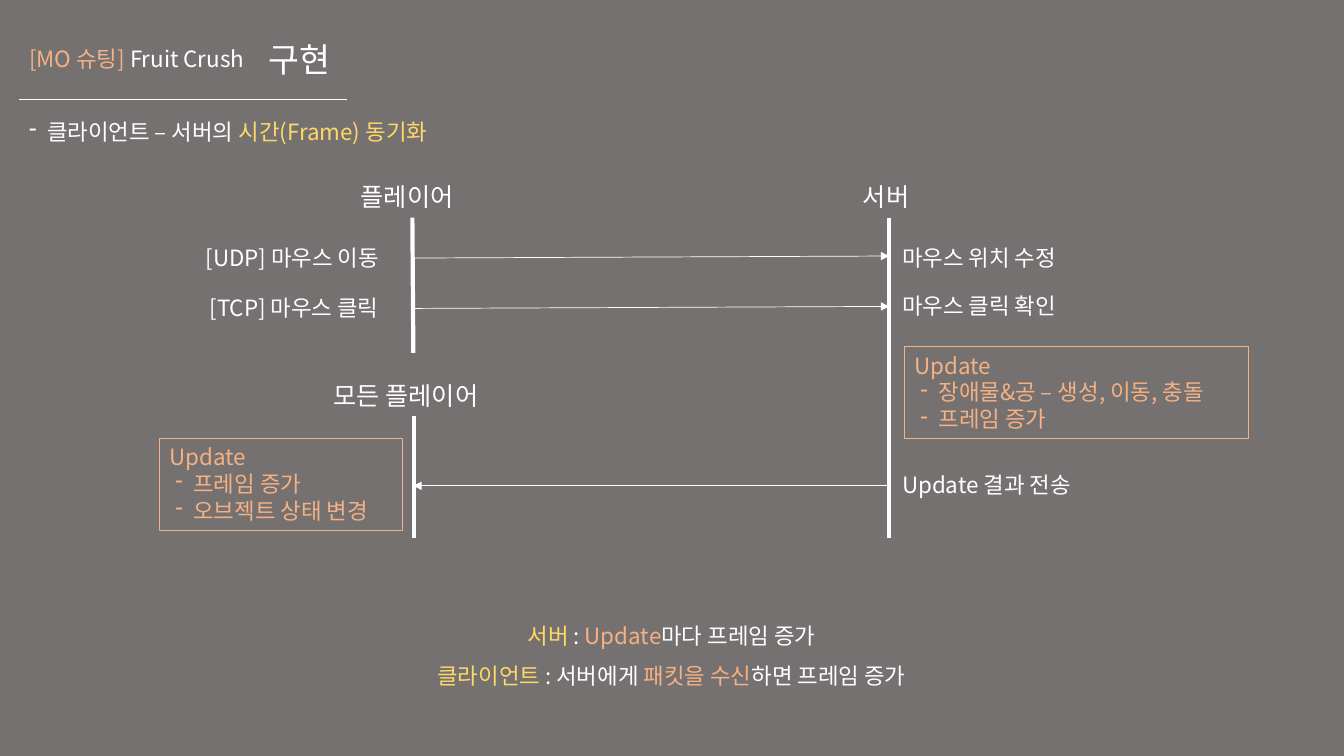
from lxml.etree import SubElement
from pptx import Presentation
from pptx.dml.color import RGBColor
from pptx.enum.shapes import MSO_CONNECTOR, MSO_SHAPE
from pptx.enum.text import MSO_ANCHOR, MSO_AUTO_SIZE, PP_ALIGN
from pptx.oxml.ns import qn
from pptx.util import Inches, Pt

FONT = "Noto Sans CJK KR"
GRAY, WHITE, ORANGE, YELLOW = "767171", "FFFFFF", "F4B183", "FFD966"
PLAYER_X, SERVER_X, SERVER_TEXT_X = 4.1, 8.82, 8.85


def color(value):
    return RGBColor.from_string(value)


def add_span(para, text, value, size):
    span = para.add_run()
    span.text = text
    span.font.size = Pt(size)
    span.font.name = FONT
    span.font.color.rgb = color(value)
    SubElement(span.font._element, qn("a:ea"), typeface=FONT)


def add_dash(para, left):
    """Give the paragraph a hanging dash whose text starts at left inches."""
    properties = para._p.get_or_add_pPr()
    properties.set("marL", str(Inches(left)))
    properties.set("indent", str(Inches(-0.18)))
    SubElement(properties, qn("a:buChar"), char="-")


def fill_text(frame, paragraphs, size=16, spacing=None, align=PP_ALIGN.LEFT):
    """Write paragraphs, each a list of (text, color) spans."""
    for index, spans in enumerate(paragraphs):
        para = frame.add_paragraph() if index else frame.paragraphs[0]
        para.alignment = align
        if spacing:
            para.line_spacing = spacing
        for text, value in spans:
            add_span(para, text, value, size)


def add_text(page, box, paragraphs, wrap=True, **style):
    frame = page.shapes.add_textbox(*map(Inches, box)).text_frame
    frame.word_wrap = wrap
    frame.auto_size = MSO_AUTO_SIZE.SHAPE_TO_FIT_TEXT
    fill_text(frame, paragraphs, **style)
    return frame


def add_label(page, left, top, width, text, size=16):
    height = 0.4 if size > 16 else 0.37
    add_text(page, (left, top, width, height), [[(text, WHITE)]], wrap=False, size=size)


def add_line(page, start, end, weight=0.5, arrow=False):
    line = page.shapes.add_connector(
        MSO_CONNECTOR.STRAIGHT, *map(Inches, (*start, *end)))
    line.line.color.rgb = color(WHITE)
    line.line.width = Pt(weight)
    if arrow:
        SubElement(line.line._get_or_add_ln(), qn("a:tailEnd"), type="triangle")
    SubElement(line._element.spPr, qn("a:effectLst"))


def add_update_box(page, box, steps):
    shape = page.shapes.add_shape(MSO_SHAPE.RECTANGLE, *map(Inches, box))
    shape.shadow.inherit = False
    shape.fill.background()
    shape.line.color.rgb = color(ORANGE)
    shape.line.width = Pt(0.75)
    frame = shape.text_frame
    frame.word_wrap = False
    frame.auto_size = MSO_AUTO_SIZE.SHAPE_TO_FIT_TEXT
    frame.vertical_anchor = MSO_ANCHOR.TOP
    fill_text(frame, [[(text, ORANGE)] for text in ("Update", *steps)])
    for para in frame.paragraphs[1:]:
        add_dash(para, 0.24)


def add_header(page, left, top):
    add_text(page, (left, top, 2.98, 0.37),
             [[("[MO 슈팅] ", ORANGE), ("Fruit Crush", WHITE)]])
    title = page.shapes.title
    title.left, title.top = Inches(left + 2.37), Inches(top - 0.23)
    title.width, title.height = Inches(1.82), Inches(0.89)
    title.text_frame.auto_size = MSO_AUTO_SIZE.NONE
    title.text_frame.vertical_anchor = MSO_ANCHOR.MIDDLE
    fill_text(title.text_frame, [[("구현", WHITE)]], size=24, spacing=0.9)
    rule = top + 0.59
    add_line(page, (left + 3.25, rule), (left, rule))
    subtitle = add_text(
        page, (left, rule, 4.76, 0.45),
        [[("클라이언트 – 서버의 ", WHITE), ("시간(Frame) 동기화", YELLOW)]], spacing=1.5)
    add_dash(subtitle.paragraphs[0], 0.18)


def add_lifeline(page, name, left, top, width, start, end):
    """Draw a participant's name and the vertical line beneath it."""
    add_label(page, left, top, width, name, size=18)
    add_line(page, start, end, weight=3)


def add_sequence(page):
    add_lifeline(page, "플레이어", 3.48, 1.75, 1.21, (4.09, 2.16), (PLAYER_X, 3.5))
    add_lifeline(page, "서버", 8.46, 1.75, 0.71, (SERVER_X, 2.16), (SERVER_X, 5.34))
    add_lifeline(page, "모든 플레이어", 3.21, 3.72, 1.81, (4.11, 4.13), (4.11, 5.34))

    messages = [
        (2.37, 1.94, 2.07, "[UDP] 마우스 이동", 2.37, "마우스 위치 수정"),
        (2.87, 1.98, 2, "[TCP] 마우스 클릭", 2.85, "마우스 클릭 확인"),
    ]
    for top, left, width, request, reply_top, reply in messages:
        add_label(page, left, top, width, request)
        add_label(page, SERVER_TEXT_X, reply_top, 1.93, reply)
        add_line(page, (PLAYER_X, top + 0.19), (SERVER_X, top + 0.17), arrow=True)

    add_update_box(page, (8.97, 3.44, 3.41, 0.91),
                   ["장애물&공 – 생성, 이동, 충돌", "프레임 증가"])
    add_label(page, SERVER_TEXT_X, 4.62, 2, "Update 결과 전송")
    add_line(page, (SERVER_X, 4.82), (PLAYER_X, 4.82), arrow=True)
    add_update_box(page, (1.58, 4.35, 2.41, 0.91), ["프레임 증가", "오브젝트 상태 변경"])


def add_summary(page, box):
    frame = add_text(page, box, [
        [("서버 ", YELLOW), (": ", WHITE), ("Update", ORANGE), ("마다 프레임 증가", WHITE)],
        [("클라이언트 ", YELLOW), (": 서버에게 ", WHITE), ("패킷을 수신", ORANGE),
         ("하면 프레임 증가", WHITE)],
    ], spacing=1.5, align=PP_ALIGN.CENTER)
    frame.auto_size = MSO_AUTO_SIZE.NONE
    frame.vertical_anchor = MSO_ANCHOR.MIDDLE


def main():
    deck = Presentation()
    deck.slide_width, deck.slide_height = Inches(13.33), Inches(7.5)
    page = deck.slides.add_slide(deck.slide_layouts[5])
    page.background.fill.solid()
    page.background.fill.fore_color.rgb = color(GRAY)
    add_header(page, 0.19, 0.4)
    add_sequence(page)
    add_summary(page, (1.98, 5.83, 9.36, 1.22))
    deck.save("out.pptx")


if __name__ == "__main__":
    main()
